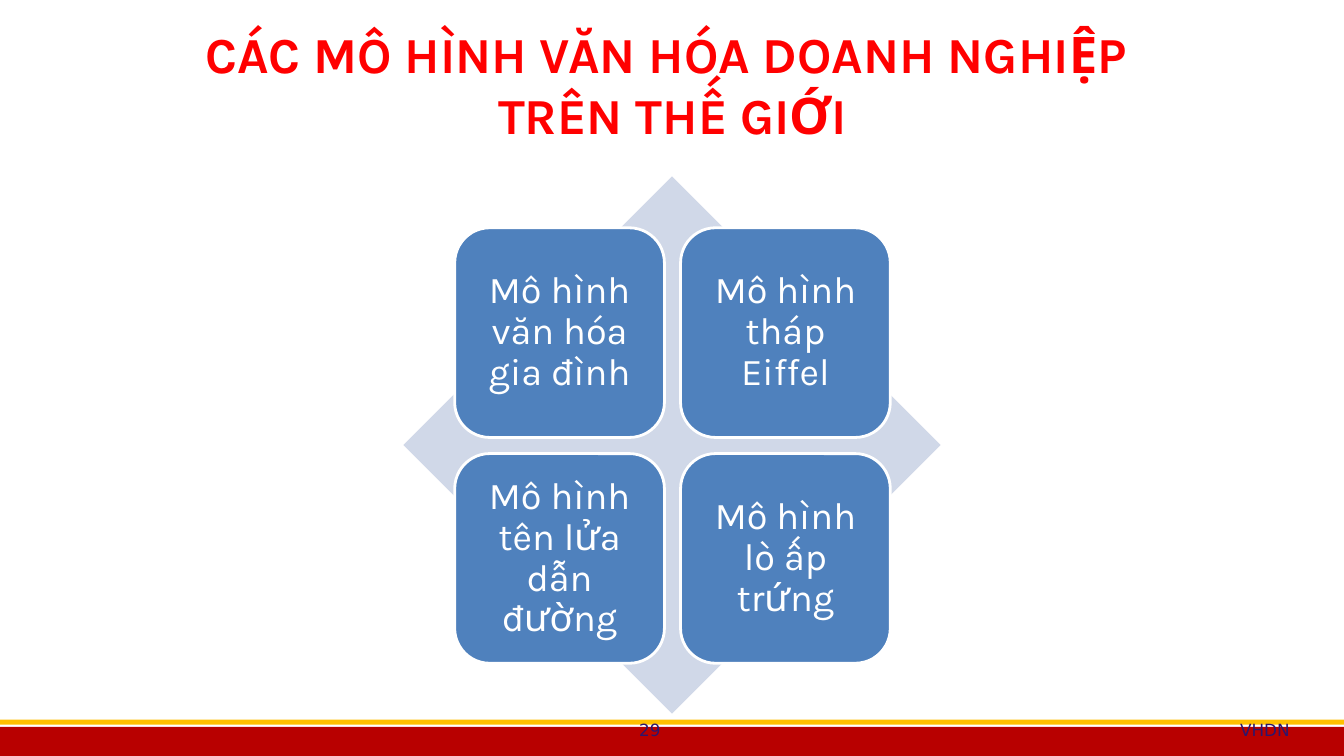
from pptx import Presentation
from pptx.dml.color import RGBColor
from pptx.enum.shapes import MSO_SHAPE as Shape
from pptx.enum.text import MSO_ANCHOR as Anchor, MSO_AUTO_SIZE as AutoSize, PP_ALIGN as Align
from pptx.util import Pt

PX = 9144  # 100 px to the inch
WHITE = RGBColor(0xFF, 0xFF, 0xFF)
RED = RGBColor(0xFF, 0x00, 0x00)
DARK_RED = RGBColor(0xB8, 0x00, 0x00)
GOLD = RGBColor(0xFF, 0xC0, 0x00)
PALE_BLUE = RGBColor(0xD0, 0xD8, 0xE8)
BLUE = RGBColor(0x4F, 0x81, 0xBD)
INDIGO = RGBColor(0x2B, 0x16, 0x6E)


def add_filled(kind, box, color):
    shape = slide.shapes.add_shape(kind, *(v * PX for v in box))
    shape.shadow.inherit = False
    shape.fill.solid()
    shape.fill.fore_color.rgb = color
    shape.line.fill.background()
    return shape


def write(frame, lines, align, font_format, color, spacing=1.0):
    """Fill a text frame with one paragraph per line."""
    frame.word_wrap = True
    frame.auto_size = AutoSize.NONE
    for i, line in enumerate(lines):
        paragraph = frame.paragraphs[0] if i == 0 else frame.add_paragraph()
        paragraph.alignment = align
        paragraph.line_spacing = spacing
        paragraph.space_before = Pt(0)
        run = paragraph.add_run()
        run.text = line
        for key, value in font_format.items():
            setattr(run.font, key, value)
        run.font.color.rgb = color


prs = Presentation()
prs.slide_width, prs.slide_height = 1333 * PX, 750 * PX
slide = prs.slides.add_slide(prs.slide_layouts[5])

# Footer bands
add_filled(Shape.RECTANGLE, (0, 721, 1333, 31), DARK_RED)
add_filled(Shape.RECTANGLE, (-1, 714, 1336, 5), GOLD)

# Title
title = slide.shapes.title
title.left, title.top, title.width, title.height = (v * PX for v in (29, 35, 1276, 96))
title.text_frame.vertical_anchor = Anchor.MIDDLE
write(title.text_frame, ["CÁC MÔ HÌNH VĂN HÓA DOANH NGHIỆP ", "TRÊN THẾ GIỚI"],
      Align.CENTER, {"name": "Karla", "size": Pt(36), "bold": True}, RED)

# Four culture models on a diamond
add_filled(Shape.DIAMOND, (400, 175, 533, 533), PALE_BLUE)
models = ["Mô hình văn hóa gia đình", "Mô hình tháp Eiffel",
          "Mô hình tên lửa dẫn đường", "Mô hình lò ấp trứng"]
CARD, STEP = 208, 224
for i, model in enumerate(models):
    row, col = divmod(i, 2)
    card = add_filled(Shape.ROUNDED_RECTANGLE,
                      (451 + col * STEP, 226 + row * STEP, CARD, CARD), BLUE)
    card.line.color.rgb = WHITE
    card.line.width = Pt(2)
    frame = card.text_frame
    frame.vertical_anchor = Anchor.MIDDLE
    for side in ("left", "top", "right", "bottom"):
        setattr(frame, f"margin_{side}", 11 * PX)
    write(frame, [model], Align.CENTER, {"name": "Karla", "size": Pt(27)}, WHITE, 0.9)

# Page number and footer
for text, left, width, align in (("29", 489, 311, Align.CENTER),
                                 ("VHDN", 867, 422, Align.RIGHT)):
    footer = slide.shapes.add_textbox(left * PX, 709 * PX, width * PX, 35 * PX)
    write(footer.text_frame, [text], align,
          {"name": "DejaVu Sans", "size": Pt(12)}, INDIGO)

prs.save("out.pptx")
